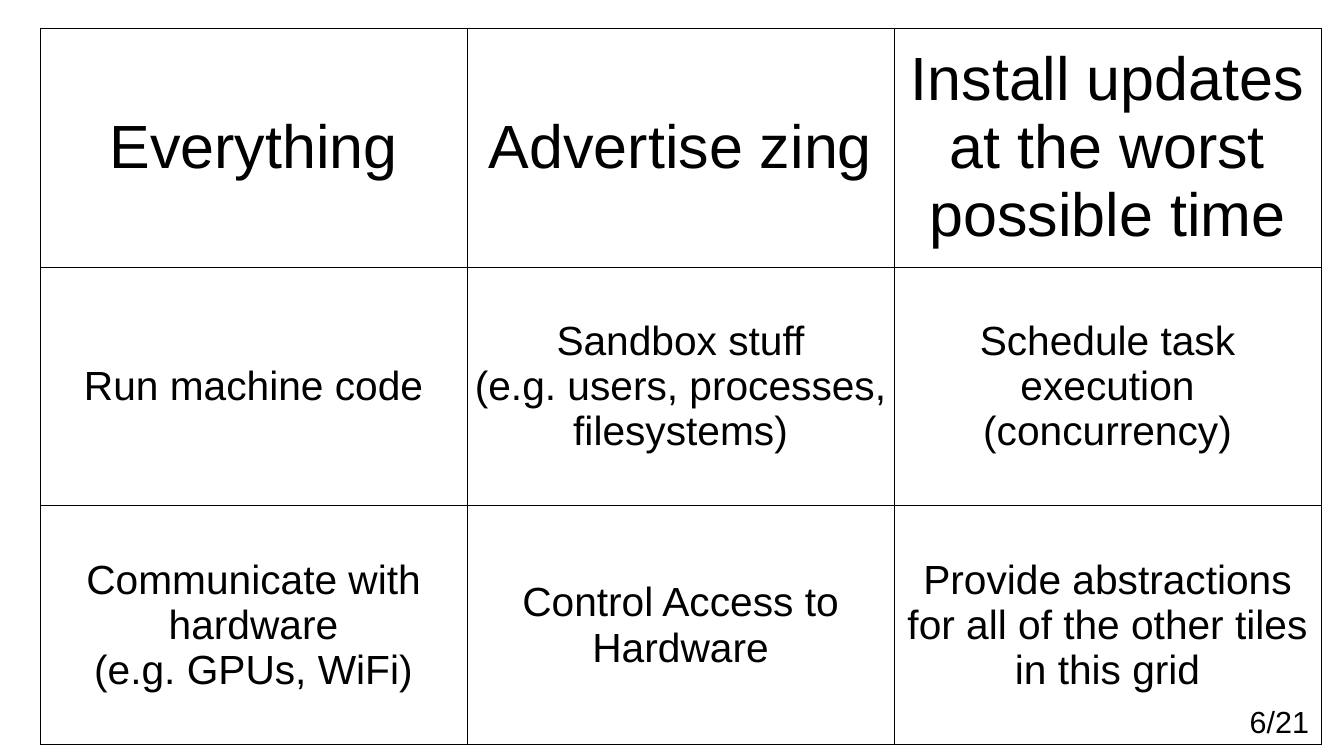
from dataclasses import dataclass

from lxml.etree import SubElement
from pptx import Presentation
from pptx.dml.color import RGBColor
from pptx.enum.text import MSO_ANCHOR as Anchor, PP_ALIGN as Align
from pptx.oxml.ns import qn
from pptx.util import Pt

# Content: one list of paragraphs per tile
TILES = [
    [["Everything"],
     ["Advertise zing"],
     ["Install updates at the worst possible time"]],
    [["Run machine code"],
     ["Sandbox stuff", "(e.g. users, processes, filesystems)"],
     ["Schedule task execution (concurrency)"]],
    [["Communicate with hardware", "(e.g. GPUs, WiFi)"],
     ["Control Access to Hardware"],
     ["Provide abstractions for all of the other tiles in this grid"]],
]
PAGE_NUMBER = "6/21"


@dataclass(frozen=True)
class Theme:
    font: str = "Arial"
    ink: str = "000000"
    heading: int = 36
    body: int = 24
    number: int = 18
    border: float = 0.57


THEME = Theme()

# Geometry in px
PX = 914400 / 122
SLIDE_W, SLIDE_H = 1344, 756
GRID_X, GRID_Y = 40, 28
TILE_W, TILE_H = 427, 239
TILE_PAD_X, TILE_PAD_Y = 5, 6
NUMBER_BOX = (1225, 697, 96, 59)
NUMBER_PAD_X, NUMBER_PAD_Y = 12, 6


def px(length):
    return round(length * PX)


def write(frame, lines, size, align):
    for index, line in enumerate(lines):
        para = frame.add_paragraph() if index else frame.paragraphs[0]
        para.alignment = align
        span = para.add_run()
        span.text = line
        span.font.name = THEME.font
        span.font.size = Pt(size)
        span.font.color.rgb = RGBColor.from_string(THEME.ink)


def set_margins(target, pad_x, pad_y):
    target.margin_left = target.margin_right = px(pad_x)
    target.margin_top = target.margin_bottom = px(pad_y)


def add_borders(cell):
    props = cell._tc.get_or_add_tcPr()
    for index, side in enumerate(("a:lnL", "a:lnR", "a:lnT", "a:lnB")):
        line = SubElement(props, qn(side), w=str(Pt(THEME.border)))
        fill = SubElement(line, qn("a:solidFill"))
        SubElement(fill, qn("a:srgbClr"), val=THEME.ink)
        props.remove(line)
        props.insert(index, line)


# Page
deck = Presentation()
deck.slide_width, deck.slide_height = px(SLIDE_W), px(SLIDE_H)
page = deck.slides.add_slide(deck.slide_layouts[6])

# Grid of tiles
row_count, column_count = len(TILES), len(TILES[0])
grid = page.shapes.add_table(
    row_count, column_count, px(GRID_X), px(GRID_Y),
    px(TILE_W * column_count), px(TILE_H * row_count)).table
grid.first_row = grid.horz_banding = False
for column in grid.columns:
    column.width = px(TILE_W)
for row in grid.rows:
    row.height = px(TILE_H)

for row_index, tiles in enumerate(TILES):
    size = THEME.body if row_index else THEME.heading
    for column_index, lines in enumerate(tiles):
        cell = grid.cell(row_index, column_index)
        cell.fill.background()
        cell.vertical_anchor = Anchor.MIDDLE
        set_margins(cell, TILE_PAD_X, TILE_PAD_Y)
        add_borders(cell)
        write(cell.text_frame, lines, size, Align.CENTER)

# Page number
box = page.shapes.add_textbox(*map(px, NUMBER_BOX))
box.text_frame.word_wrap = True
set_margins(box.text_frame, NUMBER_PAD_X, NUMBER_PAD_Y)
write(box.text_frame, [PAGE_NUMBER], THEME.number, Align.RIGHT)

deck.save("out.pptx")
